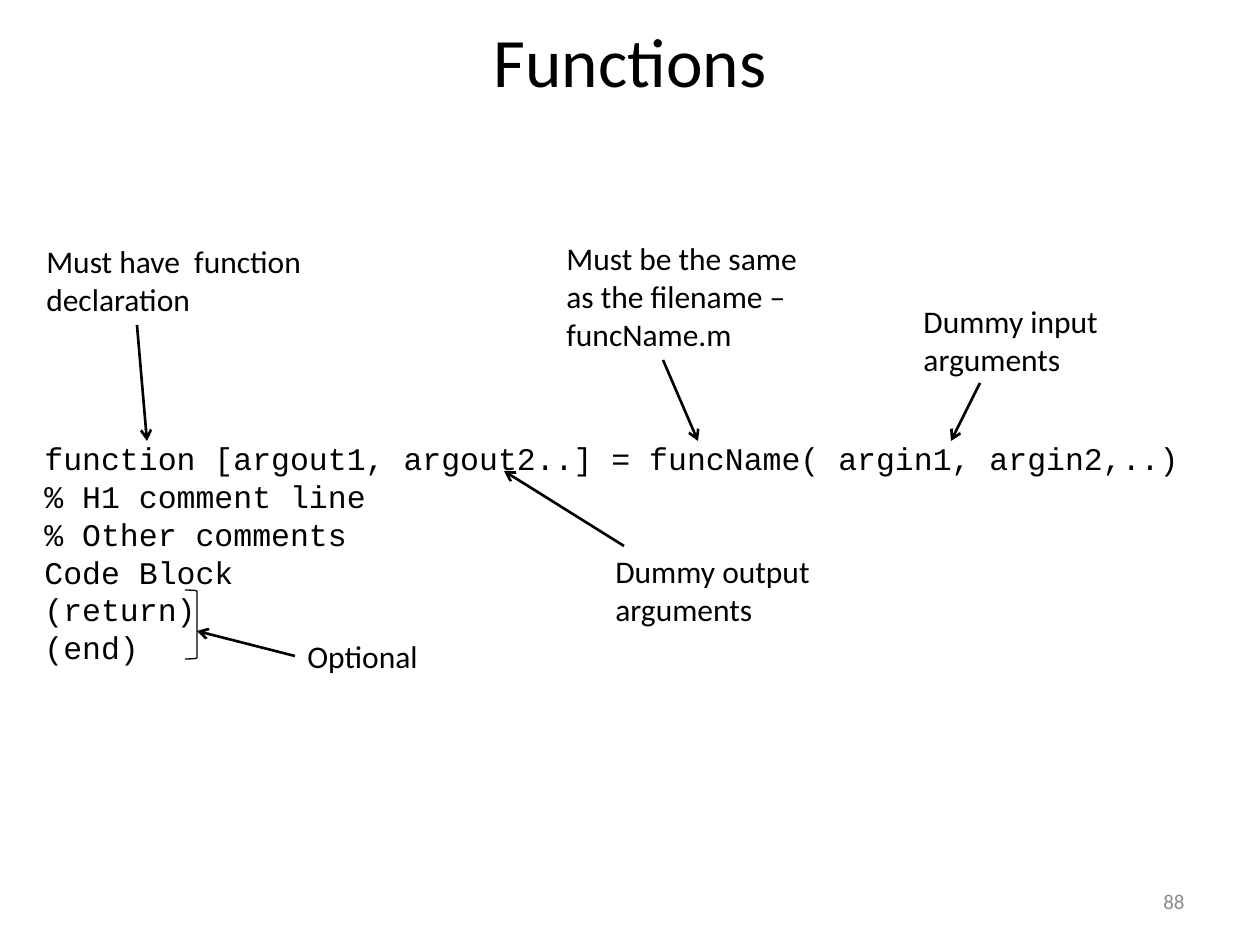
from lxml import etree
from pptx import Presentation
from pptx.dml.color import RGBColor
from pptx.enum.shapes import MSO_CONNECTOR, MSO_SHAPE
from pptx.enum.text import MSO_ANCHOR, PP_ALIGN
from pptx.oxml.ns import qn
from pptx.util import Emu, Pt

PX_PER_INCH = 126
EMU_PER_PX = 914400 / PX_PER_INCH
STRAIGHT = MSO_CONNECTOR.STRAIGHT
RIGHT_BRACKET = MSO_SHAPE.RIGHT_BRACKET
MIDDLE, TOP = MSO_ANCHOR.MIDDLE, MSO_ANCHOR.TOP
LEFT, CENTER, RIGHT = PP_ALIGN.LEFT, PP_ALIGN.CENTER, PP_ALIGN.RIGHT

BLACK, GREY = "000000", "8C8C8C"
BODY_FONT, CODE_FONT = "Calibri", "Courier New"

CODE_LINES = [
    "function [argout1, argout2..] = funcName( argin1, argin2,..)",
    "% H1 comment line",
    "% Other comments",
    "Code Block",
    "(return)",
    "(end)",
]

# Text, then left, top, width and height in px
LABELS = [
    ("Must be the same as the filename – funcName.m", (554, 233, 287, 127)),
    ("Dummy input arguments", (911, 296, 268, 89)),
    ("Must have  function declaration", (34, 236, 301, 89)),
    ("Dummy output arguments", (603, 546, 318, 89)),
    ("Optional", (295, 631, 258, 50)),
]

# Start and end points in px, from each label to the code
ARROWS = [
    ((137, 325), (147, 441)),
    ((663, 360), (698, 441)),
    ((980, 383), (951, 441)),
    ((624, 546), (504, 471)),
    ((295, 656), (197, 631)),
]


def px(length):
    return Emu(round(length * EMU_PER_PX))


def color(hex_value):
    return RGBColor.from_string(hex_value)


def write_text(shape, lines, size, font_name=BODY_FONT, font_color=BLACK,
               align=LEFT, anchor=TOP):
    frame = shape.text_frame
    frame.word_wrap = True
    frame.vertical_anchor = anchor
    for index, line in enumerate(lines):
        paragraph = frame.add_paragraph() if index else frame.paragraphs[0]
        paragraph.alignment = align
        run = paragraph.add_run()
        run.text = line
        run.font.size = Pt(size)
        run.font.name = font_name
        run.font.color.rgb = color(font_color)


def add_title(slide, text, box):
    title = slide.shapes.title
    title.left, title.top, title.width, title.height = map(px, box)
    write_text(title, [text], 39.6, align=CENTER, anchor=MIDDLE)


def add_text(slide, lines, box, size=18, **style):
    shape = slide.shapes.add_textbox(*map(px, box))
    write_text(shape, lines, size, **style)


def add_bracket(slide, box):
    bracket = slide.shapes.add_shape(RIGHT_BRACKET, *map(px, box))
    bracket.shadow.inherit = False
    bracket.fill.background()
    bracket.line.color.rgb = color(BLACK)
    bracket.line.width = Pt(0.75)


def add_arrow(slide, start, end):
    arrow = slide.shapes.add_connector(STRAIGHT, *map(px, start + end))
    arrow.line.color.rgb = color(BLACK)
    arrow.line.width = Pt(1.5)
    properties = arrow.element.spPr
    etree.SubElement(properties.find(qn("a:ln")), qn("a:tailEnd"), type="arrow")
    etree.SubElement(properties, qn("a:effectLst"))


def main():
    presentation = Presentation()
    presentation.slide_width = px(10 * PX_PER_INCH)
    presentation.slide_height = px(7.5 * PX_PER_INCH)
    title_only = presentation.slide_layouts[5]
    slide = presentation.slides.add_slide(title_only)

    # Title and page number
    add_title(slide, "Functions", (63, 16, 1134, 87))
    add_text(slide, ["88"], (903, 876, 294, 50), size=12, font_color=GREY,
             align=RIGHT, anchor=MIDDLE)

    # Code template
    add_text(slide, CODE_LINES, (32, 433, 1176, 280), font_name=CODE_FONT)

    # Annotations
    for text, box in LABELS:
        add_text(slide, [text], box)
    add_bracket(slide, (185, 590, 12, 69))
    for start, end in ARROWS:
        add_arrow(slide, start, end)

    presentation.save("out.pptx")


if __name__ == "__main__":
    main()
